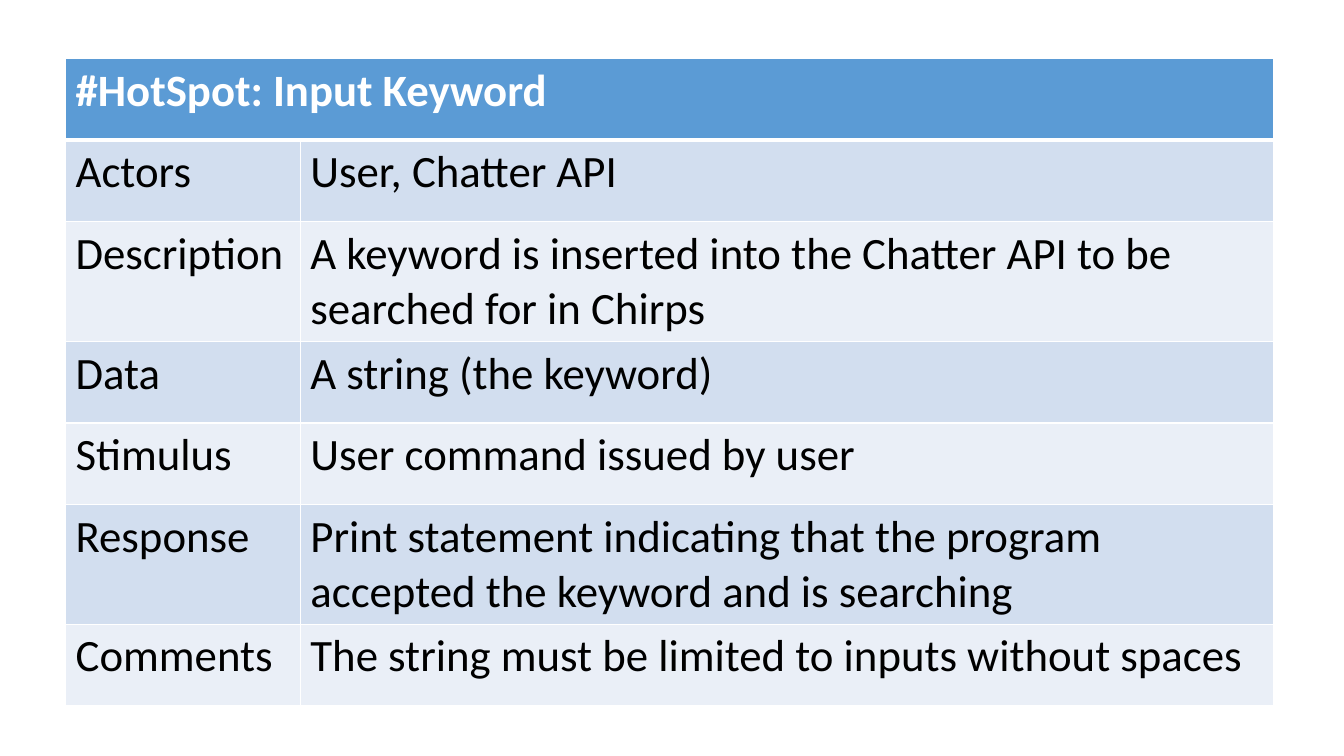
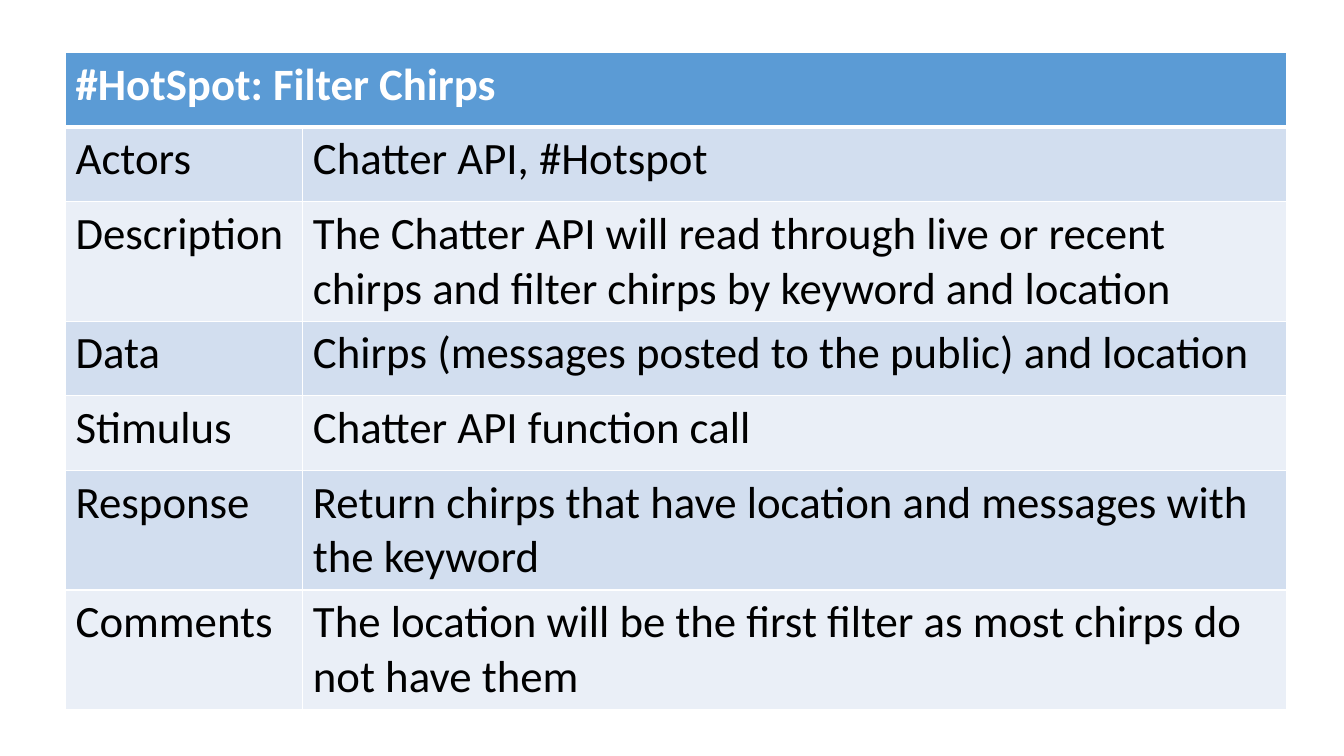
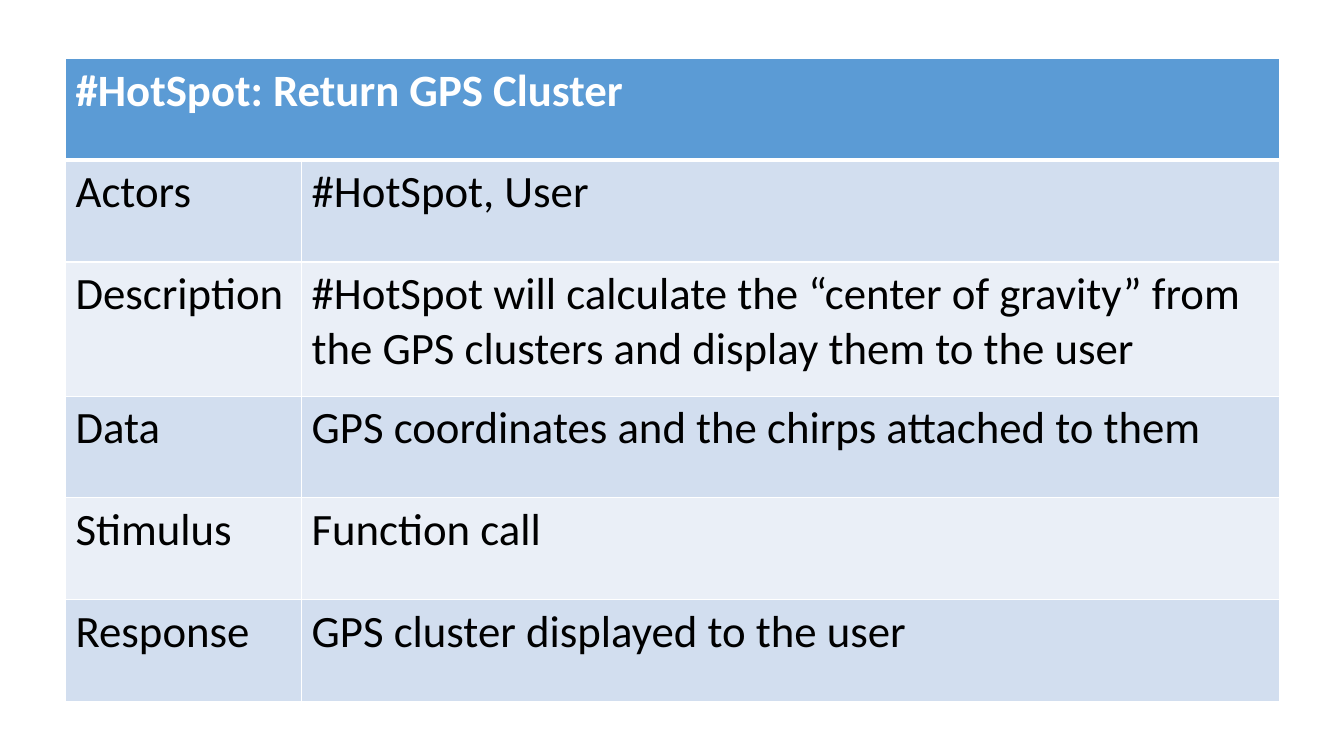
"""Build the #HotSpot use-case tables."""
from dataclasses import dataclass

from lxml import etree
from pptx import Presentation
from pptx import util as u
from pptx.dml.color import RGBColor
from pptx.oxml import ns


@dataclass(frozen=True)
class Theme:
    """Colours, type and grid shared by all slides."""

    font: str = "Calibri"
    size: int = 32
    header: str = "5B9BD5"
    bands: tuple = ("D2DEEF", "EAEFF7")
    ink: str = "000000"
    white: str = "FFFFFF"
    rule: float = 1
    header_rule: float = 3
    left: float = 0.65
    label_share: float = 0.1944
    line_chars: int = 55


@dataclass(frozen=True)
class UseCase:
    """One use case with the geometry of its table in inches."""

    name: str
    top: float
    width: float
    row: float
    tall_row: float
    details: dict


THEME = Theme()

USE_CASES = (
    UseCase("Input Keyword", 0.58, 11.98, 0.81, 1.04, {
        "Actors": "User, Chatter API",
        "Description": "A keyword is inserted into the Chatter API to be searched for in Chirps",
        "Data": "A string (the keyword)",
        "Stimulus": "User command issued by user",
        "Response": "Print statement indicating that the program accepted the keyword and is searching",
        "Comments": "The string must be limited to inputs without spaces",
    }),
    UseCase("Filter Chirps", 0.52, 12.11, 0.74, 1.12, {
        "Actors": "Chatter API, #Hotspot",
        "Description": "The Chatter API will read through live or recent chirps and filter chirps by keyword and location",
        "Data": "Chirps (messages posted to the public) and location",
        "Stimulus": "Chatter API function call",
        "Response": "Return chirps that have location and messages with the keyword",
        "Comments": "The location will be the first filter as most chirps do not have them",
    }),
    UseCase("Return GPS Cluster", 0.58, 12.04, 1.01, 1.33, {
        "Actors": "#HotSpot, User",
        "Description": "#HotSpot will calculate the “center of gravity” from the GPS clusters and display them to the user",
        "Data": "GPS coordinates and the chirps attached to them",
        "Stimulus": "Function call",
        "Response": "GPS cluster displayed to the user",
    }),
)


def set_borders(cell, top, bottom):
    """Rule all four sides of a cell in white."""
    tc_pr = cell._tc.get_or_add_tcPr()
    for side, width in (("L", THEME.rule), ("R", THEME.rule), ("T", top), ("B", bottom)):
        ln = etree.SubElement(tc_pr, ns.qn(f"a:ln{side}"), w=str(u.Pt(width)))
        fill = etree.SubElement(ln, ns.qn("a:solidFill"))
        etree.SubElement(fill, ns.qn("a:srgbClr"), val=THEME.white)


def style_cell(cell, row):
    """Give a cell the rules and fill of its row."""
    set_borders(cell,
                THEME.header_rule if row == 1 else THEME.rule,
                THEME.header_rule if row == 0 else THEME.rule)
    cell.fill.solid()
    color = THEME.bands[(row - 1) % 2] if row else THEME.header
    cell.fill.fore_color.rgb = RGBColor.from_string(color)


def write(cell, words, heading=False):
    """Add one formatted run to a cell."""
    r = cell.text_frame.paragraphs[0].add_run()
    r.text = words
    r.font.name = THEME.font
    r.font.size = u.Pt(THEME.size)
    r.font.bold = heading
    r.font.color.rgb = RGBColor.from_string(THEME.white if heading else THEME.ink)


def add_use_case(prs, case):
    """Add a slide holding the table of one use case."""
    s = prs.slides.add_slide(prs.slide_layouts[6])
    rows = len(case.details) + 1
    table = s.shapes.add_table(rows, 2, u.Inches(THEME.left), u.Inches(case.top),
                               u.Inches(case.width), u.Inches(case.row * rows)).table
    table.first_row = table.horz_banding = False
    for column, share in zip(table.columns, (THEME.label_share, 1 - THEME.label_share)):
        column.width = u.Inches(case.width * share)
    for i in range(rows):
        for j in range(2):
            style_cell(table.cell(i, j), i)
    table.rows[0].height = u.Inches(case.row)
    table.cell(0, 0).merge(table.cell(0, 1))
    write(table.cell(0, 0), f"#HotSpot: {case.name}", heading=True)
    for i, (label, detail) in enumerate(case.details.items(), 1):
        wraps = len(detail) > THEME.line_chars
        table.rows[i].height = u.Inches(case.tall_row if wraps else case.row)
        write(table.cell(i, 0), label)
        write(table.cell(i, 1), detail)


def main():
    """Build and save the presentation."""
    prs = Presentation()
    prs.slide_width, prs.slide_height = u.Inches(13.33), u.Inches(7.5)
    for case in USE_CASES:
        add_use_case(prs, case)
    prs.save("out.pptx")


if __name__ == "__main__":
    main()
